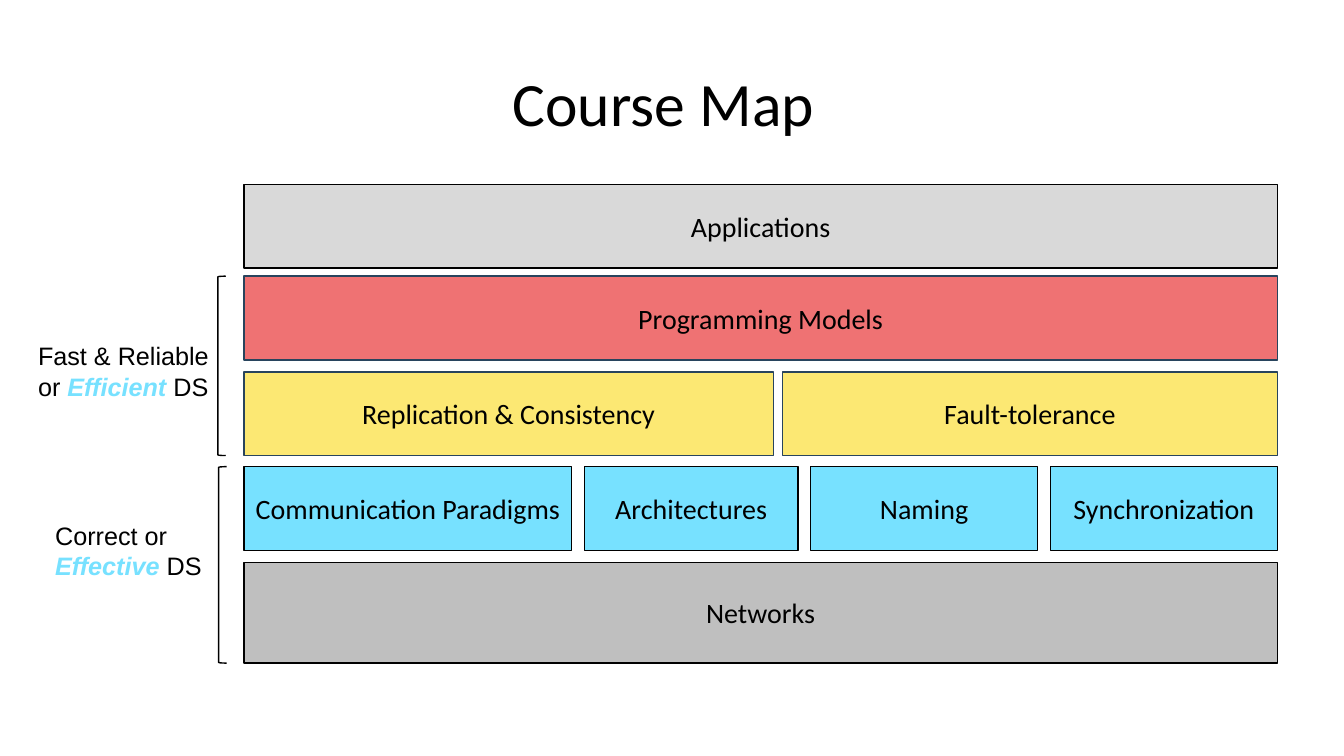
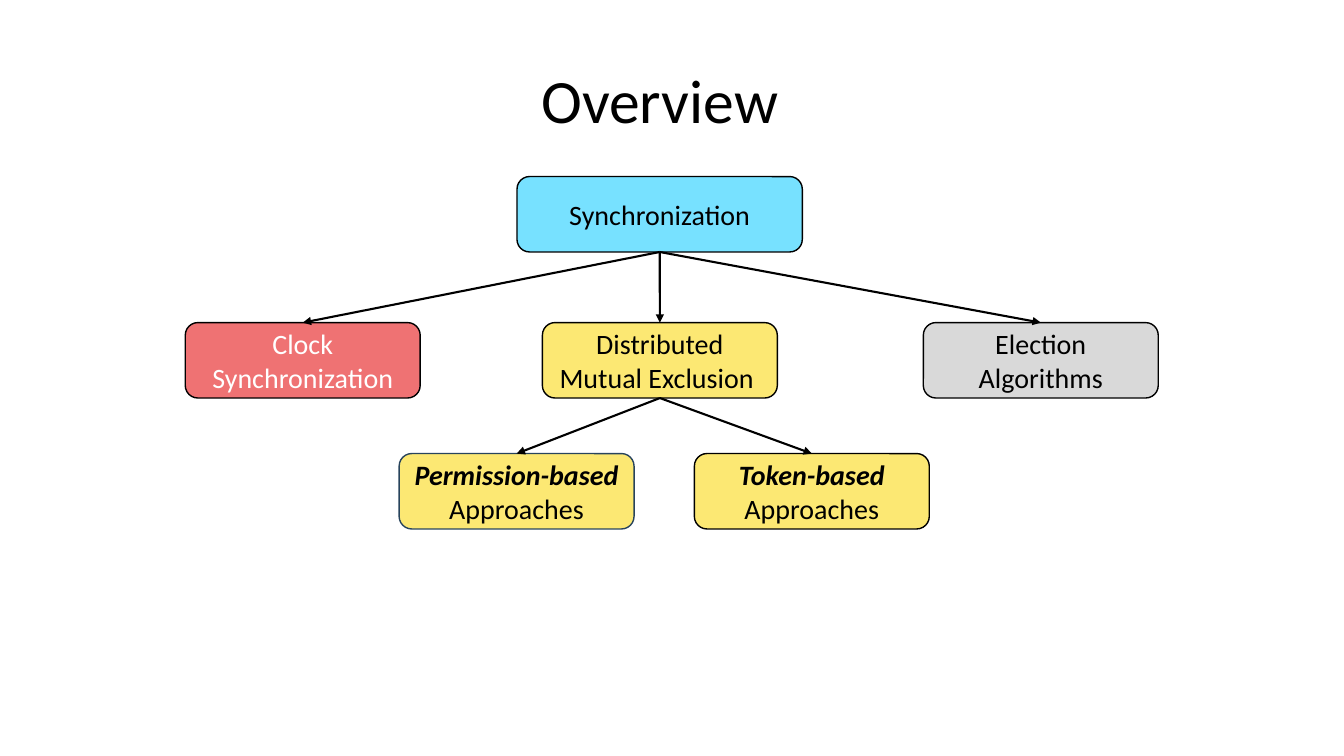
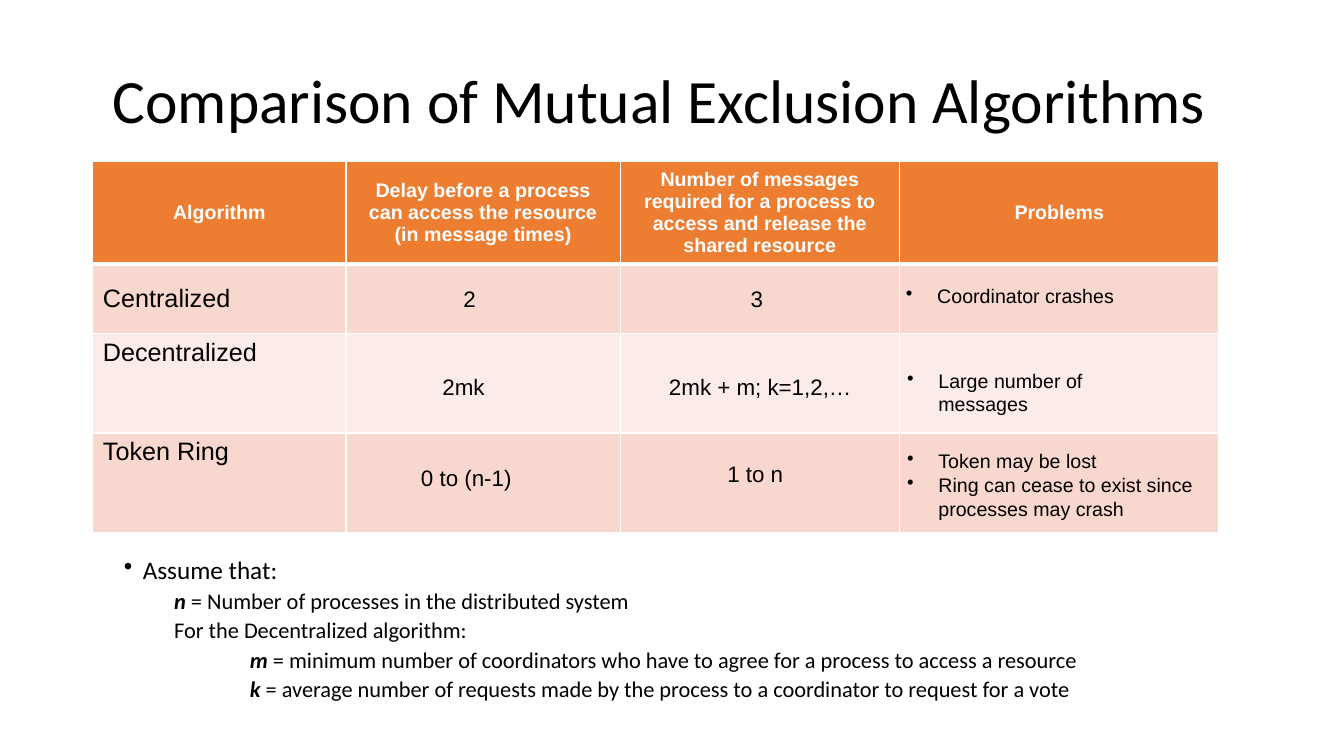
"""Build three slides on synchronization and mutual exclusion in distributed systems."""
from lxml import etree
from pptx import Presentation
from pptx.dml.color import RGBColor
from pptx.enum.shapes import MSO_CONNECTOR, MSO_SHAPE
from pptx.enum.text import MSO_ANCHOR, MSO_AUTO_SIZE, PP_ALIGN
from pptx.oxml.ns import qn
from pptx.util import Cm, Pt

RECTANGLE, ROUNDED = MSO_SHAPE.RECTANGLE, MSO_SHAPE.ROUNDED_RECTANGLE
BRACKET, STRAIGHT = MSO_SHAPE.LEFT_BRACKET, MSO_CONNECTOR.STRAIGHT
CENTER, MIDDLE, TOP = PP_ALIGN.CENTER, MSO_ANCHOR.MIDDLE, MSO_ANCHOR.TOP
GROW, FIXED = MSO_AUTO_SIZE.SHAPE_TO_FIT_TEXT, MSO_AUTO_SIZE.NONE

COLORS = {
    name: RGBColor.from_string(value)
    for name, value in {
        "black": "000000", "white": "FFFFFF", "navy": "28445D",
        "cyan": "77E1FF", "yellow": "FCE873", "red": "EF7273",
        "light gray": "D9D9D9", "gray": "BFBFBF",
        "orange": "ED7D31", "salmon": "F8D7CE", "pale salmon": "FCECE8",
    }.items()
}


def add_text(frame, runs, size, font="Calibri", color="black", align=None, indent=0, bullet=False):
    """Add one paragraph of (text, emphasis color) runs."""
    first = frame.paragraphs[0]
    paragraph = frame.add_paragraph() if first.runs else first
    paragraph.alignment = align
    properties = paragraph._p.get_or_add_pPr()
    if indent:
        properties.set("marL", str(Cm(indent)))
        properties.set("indent", str(-Cm(indent) if bullet else 0))
    if bullet:
        etree.SubElement(properties, qn("a:buChar"), char="•")
    for text, emphasis in runs:
        if text == "\n":
            paragraph.add_line_break()
            continue
        run = paragraph.add_run()
        run.text = text
        run.font.size = Pt(size)
        run.font.name = font
        run.font.color.rgb = COLORS[emphasis or color]
        run.font.bold = run.font.italic = bool(emphasis)
    return paragraph


def add_box(slide, kind, left, top, width, height, fill=None, line="black"):
    """Add an outlined shape, measured in centimetres."""
    box = slide.shapes.add_shape(kind, Cm(left), Cm(top), Cm(width), Cm(height))
    box.shadow.inherit = False
    if fill:
        box.fill.solid()
        box.fill.fore_color.rgb = COLORS[fill]
    else:
        box.fill.background()
    box.line.color.rgb = COLORS[line]
    box.line.width = Pt(1)
    box.text_frame.vertical_anchor = MIDDLE
    return box


deck = Presentation()
deck.slide_width, deck.slide_height = Cm(33.87), Cm(19.05)

slides = []
for heading, left, top, width in [
    ("Course Map", 1.9, 0.84, 29.64),
    ("Overview", 4.88, 0.76, 23.5),
    ("Comparison of Mutual Exclusion Algorithms", 1.7, 0.76, 29.85),
]:
    slide = deck.slides.add_slide(deck.slide_layouts[5])
    title = slide.shapes.title
    title.left, title.top, title.width, title.height = Cm(left), Cm(top), Cm(width), Cm(3.68)
    title.text_frame.word_wrap = True
    title.text_frame.auto_size = FIXED
    title.text_frame.vertical_anchor = MIDDLE
    add_text(title.text_frame, [(heading, None)], 44, align=CENTER).line_spacing = 0.9
    slides.append(slide)
course_map, overview, comparison = slides

LAYERS = [
    (4.65, 2.11, "light gray", "black", 0, [("Applications", 26.04)]),
    (6.96, 2.11, "red", "navy", 0, [("Programming Models", 26.04)]),
    (9.37, 2.11, "yellow", "navy", 0.23, [("Replication & Consistency", 13.34), ("Fault-tolerance", 12.47)]),
    (11.76, 2.11, "cyan", "black", 0.32, [
        ("Communication Paradigms", 8.26), ("Architectures", 5.38),
        ("Naming", 5.72), ("Synchronization", 5.72)]),
    (14.17, 2.54, "gray", "black", 0, [("Networks", 26.04)]),
]
for top, height, fill, line, gap, topics in LAYERS:
    left = 6.15
    for topic, width in topics:
        box = add_box(course_map, RECTANGLE, left, top, width, height, fill, line)
        add_text(box.text_frame, [(topic, None)], 20, align=CENTER)
        left += width + gap

GOALS = [
    (5.49, 6.96, 4.52, 0.71, 8.46, 5.03,
     [[("Fast & Reliable ", None), ("\n", None), ("or ", None), ("Efficient", "cyan"), (" DS", None)]]),
    (5.51, 11.76, 4.95, 1.14, 12.98, 4.24,
     [[("Correct or", None)], [("Effective", "cyan"), (" DS", None)]]),
]
for bracket_left, bracket_top, bracket_height, left, top, width, lines in GOALS:
    add_box(course_map, BRACKET, bracket_left, bracket_top, 0.2, bracket_height)
    goal = course_map.shapes.add_textbox(Cm(left), Cm(top), Cm(width), Cm(1.8)).text_frame
    goal.word_wrap = False
    goal.auto_size = GROW
    for runs in lines:
        add_text(goal, runs, 18, "Arial")

TREE = [
    ("root", None, 13.03, 4.45, 7.19, "cyan", "black", "black", [("Synchronization", None)]),
    ("clock", "root", 4.67, 8.13, 5.92, "red", "black", "white", [("Clock Synchronization", None)]),
    ("exclusion", "root", 13.67, 8.13, 5.92, "yellow", "black", "black",
     [("Distributed Mutual Exclusion ", None)]),
    ("election", "root", 23.27, 8.13, 5.92, "light gray", "black", "black", [("Election Algorithms", None)]),
    ("permission", "exclusion", 10.06, 11.43, 5.92, "yellow", "navy", "black",
     [("Permission-based", "black"), (" Approaches", None)]),
    ("token", "exclusion", 17.5, 11.43, 5.92, "yellow", "black", "black",
     [("Token-based ", "black"), ("Approaches", None)]),
]
nodes = {}
for name, parent, left, top, width, fill, line, color, runs in TREE:
    node = add_box(overview, ROUNDED, left, top, width, 1.9, fill, line)
    add_text(node.text_frame, runs, 20, color=color, align=CENTER)
    nodes[name] = node
    if parent:
        arrow = overview.shapes.add_connector(STRAIGHT, 0, 0, 0, 0)
        arrow.begin_connect(nodes[parent], 2)
        arrow.end_connect(node, 0)
        arrow.line.color.rgb = COLORS["black"]
        arrow.line.width = Pt(1.5)
        etree.SubElement(arrow.line._get_or_add_ln(), qn("a:tailEnd"), type="triangle")
        etree.SubElement(arrow._element.spPr, qn("a:effectLst"))

HEADERS = [
    "Algorithm",
    "Delay before a process can access the resource (in message times)",
    "Number of messages required for a process to access and release the shared resource",
    "Problems",
]
ALGORITHMS = [("Centralized", MIDDLE), ("Decentralized", TOP), ("Token Ring", TOP)]
COLUMN_WIDTHS = [6.38, 6.91, 7.04, 8.05]
ROW_HEIGHTS = [2.59, 1.75, 2.51, 2.51]
ROW_FILLS = ["orange", "salmon", "pale salmon", "salmon"]
table = comparison.shapes.add_table(
    4, 4, Cm(2.34), Cm(4.06), Cm(sum(COLUMN_WIDTHS)), Cm(sum(ROW_HEIGHTS))).table
table.horz_banding = False
for column, width in zip(table.columns, COLUMN_WIDTHS):
    column.width = Cm(width)
for row_index, (row, height) in enumerate(zip(table.rows, ROW_HEIGHTS)):
    row.height = Cm(height)
    for cell in row.cells:
        for side in ("lnL", "lnR", "lnT", "lnB"):
            thick = (row_index, side) in [(0, "lnB"), (1, "lnT")]
            border = etree.SubElement(
                cell._tc.get_or_add_tcPr(), qn("a:" + side), w=str(Pt(3 if thick else 1)))
            paint = etree.SubElement(border, qn("a:solidFill"))
            etree.SubElement(paint, qn("a:srgbClr"), val=str(COLORS["white"]))
        cell.fill.solid()
        cell.fill.fore_color.rgb = COLORS[ROW_FILLS[row_index]]
        cell.vertical_anchor = MIDDLE
for column_index, header in enumerate(HEADERS):
    paragraph = add_text(
        table.cell(0, column_index).text_frame, [(header, None)], 14, "Arial", "white", CENTER)
    paragraph.runs[0].font.bold = True
for row_index, (algorithm, anchor) in enumerate(ALGORITHMS, 1):
    cell = table.cell(row_index, 0)
    cell.vertical_anchor = anchor
    add_text(cell.text_frame, [(algorithm, None)], 18, "Arial")

FINDINGS = [
    (11.43, 7.06, 0.84, 0.94, ["2"], False),
    (18.67, 7.06, 1.07, 0.94, ["3"], False),
    (22.58, 7.04, 6.15, 0.86, ["Coordinator crashes"], True),
    (10.9, 9.27, 1.78, 0.94, ["2mk"], False),
    (16.61, 9.27, 5.36, 0.94, ["2mk + m; k=1,2,…"], False),
    (22.61, 9.17, 6.35, 1.45, ["Large number of messages"], True),
    (10.36, 11.56, 2.97, 0.94, ["0 to (n-1)"], False),
    (18.08, 11.46, 2.24, 0.94, ["1 to n"], False),
    (22.61, 11.2, 7.98, 2.06,
     ["Token may be lost", "Ring can cease to exist since processes may crash"], True),
]
for left, top, width, height, lines, is_problem in FINDINGS:
    finding = comparison.shapes.add_textbox(Cm(left), Cm(top), Cm(width), Cm(height)).text_frame
    finding.word_wrap = True
    finding.auto_size = GROW
    for line in lines:
        add_text(finding, [(line, None)], 14 if is_problem else 16, "Arial",
                 indent=0.79 if is_problem else 0, bullet=is_problem)

ASSUMPTIONS = [
    (18, 0.48, 7.5, [("Assume that:", None)]),
    (16, 1.27, 3.8, [("n ", "black"), ("= Number of processes in the distributed system", None)]),
    (16, 1.27, 3.8, [("For the Decentralized algorithm:", None)]),
    (16, 3.18, 3.8, [
        ("m", "black"),
        (" = minimum number of coordinators who have to agree for a process to access a resource", None)]),
    (16, 3.18, 3.8, [
        ("k", "black"),
        (" = average number of requests made by the process to a coordinator to request for a vote", None)]),
]
assumptions = comparison.shapes.add_textbox(Cm(2.87), Cm(13.92), Cm(26.97), Cm(4.09)).text_frame
assumptions.word_wrap = True
for size, indent, space, runs in ASSUMPTIONS:
    paragraph = add_text(assumptions, runs, size, indent=indent, bullet=size == 18)
    paragraph.line_spacing = 0.9
    paragraph.space_before = Pt(space)

deck.save("out.pptx")
